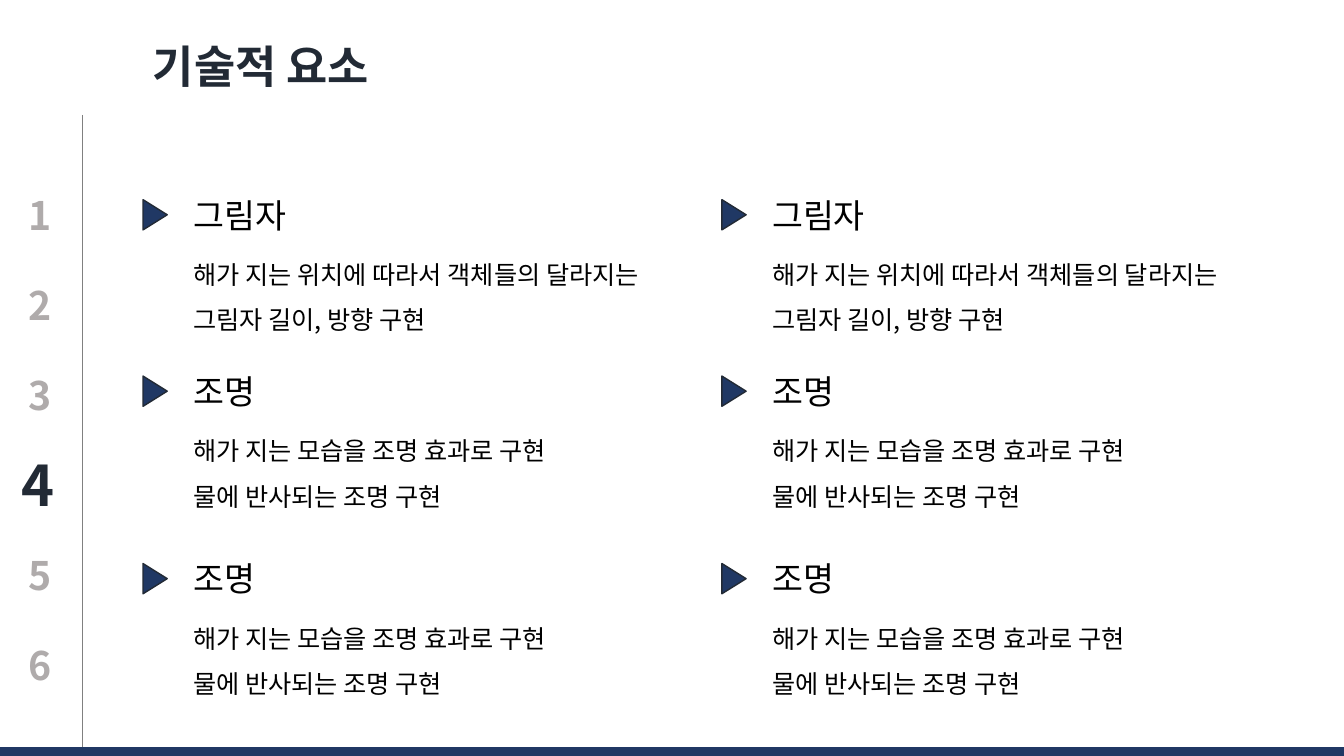
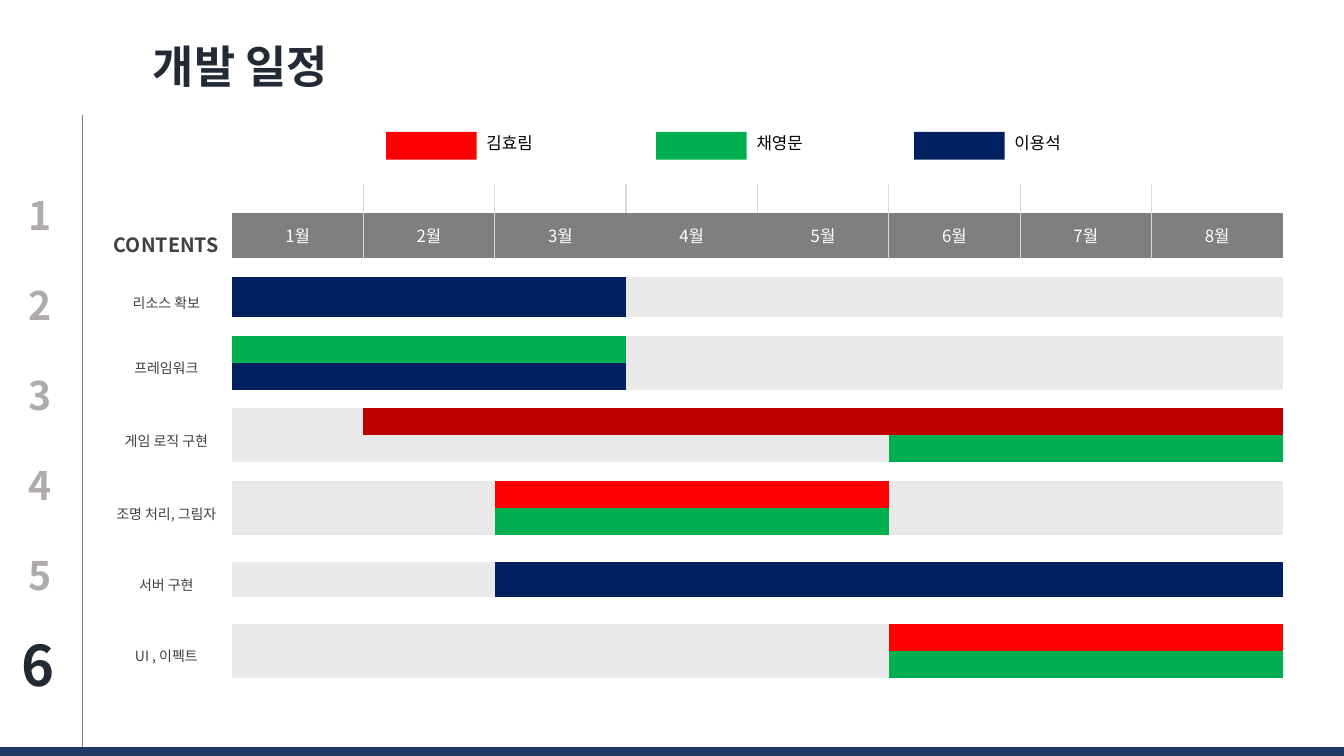
from lxml import etree
from pptx import Presentation
from pptx.dml.color import RGBColor
from pptx.enum.shapes import MSO_CONNECTOR, MSO_SHAPE
from pptx.enum.text import MSO_ANCHOR, PP_ALIGN
from pptx.oxml import parse_xml
from pptx.oxml.ns import nsdecls, qn
from pptx.util import Pt

FONT = "Noto Sans CJK KR"
NO_GRID_STYLE = "{2D5ABB26-0587-4C30-8999-92F81FD0307C}"
TITLE_ONLY = 5
LEFT, CENTER = PP_ALIGN.LEFT, PP_ALIGN.CENTER
TOP, MIDDLE, BOTTOM = MSO_ANCHOR.TOP, MSO_ANCHOR.MIDDLE, MSO_ANCHOR.BOTTOM
RECTANGLE, TRIANGLE = MSO_SHAPE.RECTANGLE, MSO_SHAPE.FLOWCHART_EXTRACT

BLACK = RGBColor(0x00, 0x00, 0x00)
WHITE = RGBColor(0xFF, 0xFF, 0xFF)
INK = RGBColor(0x22, 0x2A, 0x35)
BLUE = RGBColor(0x20, 0x38, 0x64)
MUTED = RGBColor(0xAF, 0xAB, 0xAB)
RAIL = RGBColor(0x80, 0x80, 0x80)
LABEL = RGBColor(0x40, 0x40, 0x40)
HEADER = RGBColor(0x7F, 0x7F, 0x7F)
IDLE = RGBColor(0xE9, 0xE9, 0xE9)
RULE = RGBColor(0xD9, 0xD9, 0xD9)
RED = RGBColor(0xFF, 0x00, 0x00)
CRIMSON = RGBColor(0xC0, 0x00, 0x00)
GREEN = RGBColor(0x00, 0xB0, 0x50)
NAVY = RGBColor(0x00, 0x20, 0x60)


def write(frame, text, size, color=BLACK, bold=False, align=LEFT, spacing=1.0):
    """Fill a text frame with one paragraph for each line of text."""
    frame.word_wrap = True
    for index, line in enumerate(text.split("\n")):
        paragraph = frame.add_paragraph() if index else frame.paragraphs[0]
        paragraph.alignment = align
        paragraph.line_spacing = spacing
        run = paragraph.add_run()
        run.text = line
        run.font.size = Pt(size)
        run.font.bold = bold
        run.font.color.rgb = color
        run.font.name = FONT
        etree.SubElement(run.font._element, qn("a:ea"), typeface=FONT)


def add_block(slide, kind, box, fill, line=None):
    shape = slide.shapes.add_shape(kind, *map(Pt, box))
    shape.shadow.inherit = False
    shape.fill.solid()
    shape.fill.fore_color.rgb = fill
    if line is None:
        shape.line.fill.background()
    else:
        shape.line.color.rgb = line
        shape.line.width = Pt(1)
    return shape


presentation = Presentation()
presentation.slide_width, presentation.slide_height = Pt(960), Pt(540)

# Shared frame: title, section numbers, rail and footer band
slides = []
for heading, current in (("기술적 요소", 4), ("개발 일정", 6)):
    slide = presentation.slides.add_slide(presentation.slide_layouts[TITLE_ONLY])
    slides.append(slide)
    title = slide.shapes.title
    title.left, title.top, title.width, title.height = map(Pt, (102, 23.8, 282, 46))
    write(title.text_frame, heading, 32, INK, bold=True)
    title.text_frame.vertical_anchor = TOP

    rail = slide.shapes.add_connector(
        MSO_CONNECTOR.STRAIGHT, Pt(58.5), Pt(82), Pt(58.5), Pt(540))
    rail.line.color.rgb = RAIL
    rail.line.width = Pt(0.5)
    etree.SubElement(rail._element.spPr, qn("a:effectLst"))

    for number in range(1, 7):
        active = number == current
        left, height = (8.6, 55.4) if active else (13, 41)
        middle = 153.7 + 64.2 * (number - 1)
        box = slide.shapes.add_textbox(
            Pt(left), Pt(middle - height / 2), Pt(34), Pt(height))
        write(box.text_frame, str(number), 40 if active else 28,
              INK if active else MUTED, bold=True)

    add_block(slide, RECTANGLE, (0, 534, 960, 6), BLUE, BLUE)

# Technical elements
technical, schedule = slides
lighting = ("조명", "해가 지는 모습을 조명 효과로 구현\n물에 반사되는 조명 구현")
topics = [
    (135.4, "그림자", "해가 지는 위치에 따라서 객체들의 달라지는\n그림자 길이, 방향 구현"),
    (261.4, *lighting),
    (395.3, *lighting),
]
for left in (100, 513.5):
    for top, heading, details in topics:
        marker = add_block(technical, TRIANGLE, (left, top + 9.4, 21.6, 17.3), BLUE, INK)
        marker.rotation = 90
        for offset, height, text, size, spacing in (
                (0, 36, heading, 24, 1.0), (35.5, 68.4, details, 18, 1.5)):
            box = technical.shapes.add_textbox(
                Pt(left + 31), Pt(top + offset), Pt(374), Pt(height))
            write(box.text_frame, text, size, spacing=spacing)

# Schedule: a lane is first month, last month, colour
tasks = [
    ("리소스 확보", 13.5, 28.6, [(1, 3, NAVY)]),
    ("프레임워크", 13.5, 19.3, [(1, 3, GREEN), (1, 3, NAVY)]),
    ("게임 로직 구현", 13, 19.3, [(2, 8, CRIMSON), (6, 8, GREEN)]),
    ("조명 처리, 그림자", 13.5, 19.3, [(3, 5, RED), (3, 5, GREEN)]),
    ("서버 구현", 19.3, 25, [(3, 8, NAVY)]),
    ("UI , 이펙트", 19.3, 19.3, [(6, 8, RED), (6, 8, GREEN)]),
]
row_heights = [20.7, 32.1]
for label, gap, lane_height, lanes in tasks:
    row_heights += [gap] + [lane_height] * len(lanes)

column_width = 93.84
table_shape = schedule.shapes.add_table(
    len(row_heights), 9, Pt(71.9), Pt(131.6), Pt(9 * column_width), Pt(sum(row_heights)))
table = table_shape.table
table.first_row = table.horz_banding = False
table._tbl.tblPr.find(qn("a:tableStyleId")).text = NO_GRID_STYLE
for column in table.columns:
    column.width = Pt(column_width)
for row, height in zip(table.rows, row_heights):
    row.height = Pt(height)
    for cell in row.cells:
        cell.margin_left = cell.margin_right = cell.margin_top = cell.margin_bottom = 0
        cell.vertical_anchor = MIDDLE
        cell.fill.background()
        cell.text_frame.paragraphs[0]._p.get_or_add_endParaRPr().set("sz", "800")

corner = table.cell(1, 0)
write(corner.text_frame, "CONTENTS", 14, LABEL, bold=True, align=CENTER, spacing=1.5)
corner.vertical_anchor = BOTTOM
for month in range(1, 9):
    cell = table.cell(1, month)
    cell.fill.solid()
    cell.fill.fore_color.rgb = HEADER
    write(cell.text_frame, f"{month}월", 12, WHITE, align=CENTER)

row_index = 2
for label, gap, lane_height, lanes in tasks:
    row_index += 1
    label_cell = table.cell(row_index, 0)
    if len(lanes) > 1:
        label_cell.merge(table.cell(row_index + len(lanes) - 1, 0))
    write(label_cell.text_frame, label, 10, LABEL, align=CENTER, spacing=1.5)
    for first, last, color in lanes:
        for month in range(1, 9):
            fill = table.cell(row_index, month).fill
            fill.solid()
            fill.fore_color.rgb = color if first <= month <= last else IDLE
        row_index += 1

# Month rules; right to left keeps lnL ahead of lnR in each cell
for row_number, months in ((0, range(7, 0, -1)), (1, (7, 6, 5, 1))):
    for month in months:
        for column_number, side in ((month, "lnR"), (month + 1, "lnL")):
            properties = table.cell(row_number, column_number)._tc.get_or_add_tcPr()
            properties.insert(0, parse_xml(
                f'<a:{side} {nsdecls("a")} w="12700"><a:solidFill>'
                f'<a:srgbClr val="{RULE}"/></a:solidFill></a:{side}>'))

for left, name, color in ((275.8, "김효림", RED), (468.7, "채영문", GREEN), (653, "이용석", NAVY)):
    add_block(schedule, RECTANGLE, (left, 94.2, 64.6, 19.8), color)
    box = schedule.shapes.add_textbox(Pt(left + 64.6), Pt(91.6), Pt(56), Pt(21.8))
    write(box.text_frame, name, 12)

presentation.save("out.pptx")
